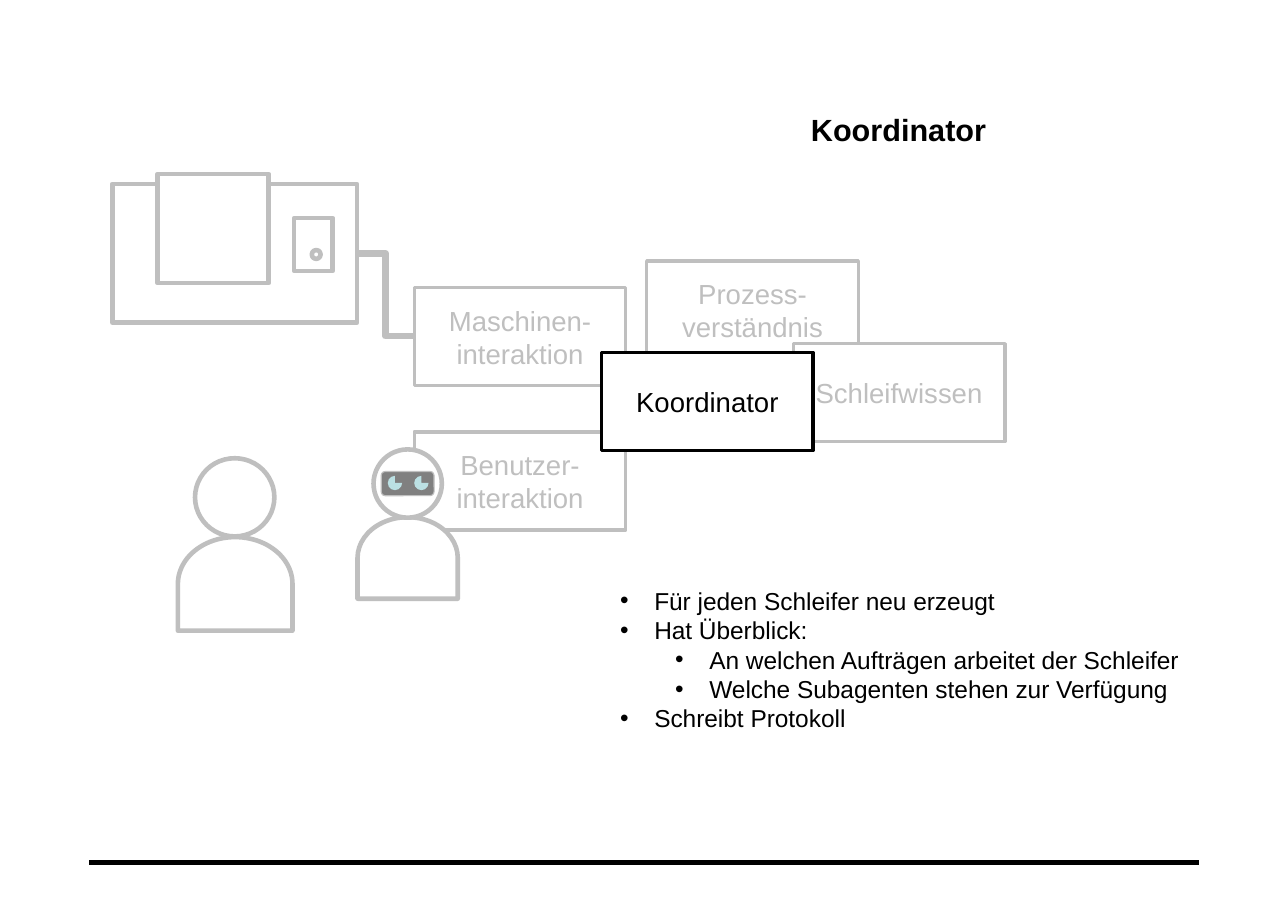
from lxml import etree
from pptx import Presentation
from pptx import util as u
from pptx.dml.color import RGBColor
from pptx.enum import shapes, text
from pptx.oxml import ns

PX = 9144  # 100 px to the inch
COLORS = {"black": "000000", "white": "FFFFFF", "grey": "BFBFBF",
          "visor": "808080", "eye": "BBE0E3"}
KIND = shapes.MSO_SHAPE
MODULE_SIZE = (192, 89)
POINTS = [
    (0, "Für jeden Schleifer neu erzeugt"),
    (0, "Hat Überblick:"),
    (1, "An welchen Aufträgen arbeitet der Schleifer"),
    (1, "Welche Subagenten stehen zur Verfügung"),
    (0, "Schreibt Protokoll"),
]


def px(*lengths):
    return [u.Emu(length * PX) for length in lengths]


def color(name):
    return RGBColor.from_string(COLORS[name])


def set_format(target, values):
    for name, value in values.items():
        setattr(target, name, value)


def style_font(font, size, tone="black", bold=False):
    set_format(font, {"name": "Arial", "size": u.Pt(size), "bold": bold})
    font.color.rgb = color(tone)


def add_line(page, kind, ends, tone, width):
    line = page.shapes.add_connector(kind, *px(*ends))
    line.line.color.rgb = color(tone)
    line.line.width = u.Pt(width)
    etree.SubElement(line._element.spPr, ns.qn("a:effectLst"))


def add_outline(parent, kind, at, fill="white", tone="grey", width=3, rotation=0):
    shape = parent.shapes.add_shape(kind, *px(*at))
    set_format(shape, {"rotation": rotation})
    shape.shadow.inherit = False
    shape.fill.solid()
    shape.fill.fore_color.rgb = color(fill)
    if tone:
        shape.line.color.rgb = color(tone)
        shape.line.width = u.Pt(width)
    else:
        shape.line.fill.background()
    return shape


def add_module(page, left, top, label, tone="grey"):
    box = add_outline(page, KIND.RECTANGLE, (left, top, *MODULE_SIZE),
                      tone=tone, width=2.25)
    set_format(box.text_frame, {"word_wrap": True,
                                "vertical_anchor": text.MSO_ANCHOR.MIDDLE})
    para = box.text_frame.paragraphs[0]
    para.alignment = text.PP_ALIGN.CENTER
    span = para.add_run()
    span.text = label
    style_font(span.font, 18, tone)


def add_machine(page):
    machine = page.shapes.add_group_shape()
    for at in [(102, 167, 222, 126), (143, 158, 101, 99), (267, 198, 35, 48)]:
        add_outline(machine, KIND.RECTANGLE, at)
    add_outline(machine, KIND.OVAL, (283, 227, 8, 8))


def add_figure(page, body, head):
    figure = page.shapes.add_group_shape()
    add_outline(figure, KIND.FLOWCHART_DELAY, body, rotation=270)
    add_outline(figure, KIND.FLOWCHART_CONNECTOR, head)
    return figure


def add_robot(page):
    robot = add_figure(page, (333, 461, 74, 91), (339, 408, 62, 62))
    add_outline(robot, KIND.ROUNDED_RECTANGLE, (346, 428, 48, 22),
                fill="visor", width=0.75)
    for left in (376, 352):
        add_outline(robot, KIND.PIE, (left, 432, 13, 13), fill="eye", tone=None)


def add_title(page, label):
    box = page.shapes.add_textbox(*px(736, 101, 352, 50))
    set_format(box.text_frame, {"word_wrap": True, "margin_left": 0, "margin_right": 0,
                                "margin_top": 0, "margin_bottom": 0})
    span = box.text_frame.paragraphs[0].add_run()
    span.text = label
    style_font(span.font, 20, bold=True)


def add_bullets(page, points):
    frame = page.shapes.add_textbox(*px(553, 527, 562, 145)).text_frame
    frame.word_wrap = True
    for index, (level, label) in enumerate(points):
        para = frame.add_paragraph() if index else frame.paragraphs[0]
        para.level = level
        margin, indent = px(31 + 50 * level, -31)
        props = para._p.get_or_add_pPr()
        props.set("marL", str(margin))
        props.set("indent", str(indent))
        etree.SubElement(props, ns.qn("a:buFont"), typeface="Arial")
        etree.SubElement(props, ns.qn("a:buChar"), char="•")
        span = para.add_run()
        span.text = label
        style_font(span.font, 16)


def main():
    deck = Presentation()
    deck.slide_width, deck.slide_height = px(1169, 827)
    page = deck.slides.add_slide(deck.slide_layouts[6])

    # Footer rule and link from machine to its module
    add_line(page, shapes.MSO_CONNECTOR.STRAIGHT, (81, 783, 1088, 783), "black", 3)
    add_line(page, shapes.MSO_CONNECTOR.ELBOW, (324, 230, 376, 305), "grey", 4.5)

    # Machine and its user
    add_machine(page)
    add_figure(page, (171, 478, 85, 104), (177, 416, 72, 71))

    add_title(page, "Koordinator")

    # Agent modules, with the robot in front of the user module
    add_module(page, 376, 392, "Benutzer-interaktion")
    add_module(page, 587, 237, "Prozess-verständnis")
    add_module(page, 720, 312, "Schleifwissen")
    add_robot(page)
    add_module(page, 376, 261, "Maschinen-interaktion")

    # Coordinator and its tasks
    add_bullets(page, POINTS)
    add_module(page, 546, 320, "Koordinator", "black")

    deck.save("out.pptx")


if __name__ == "__main__":
    main()
